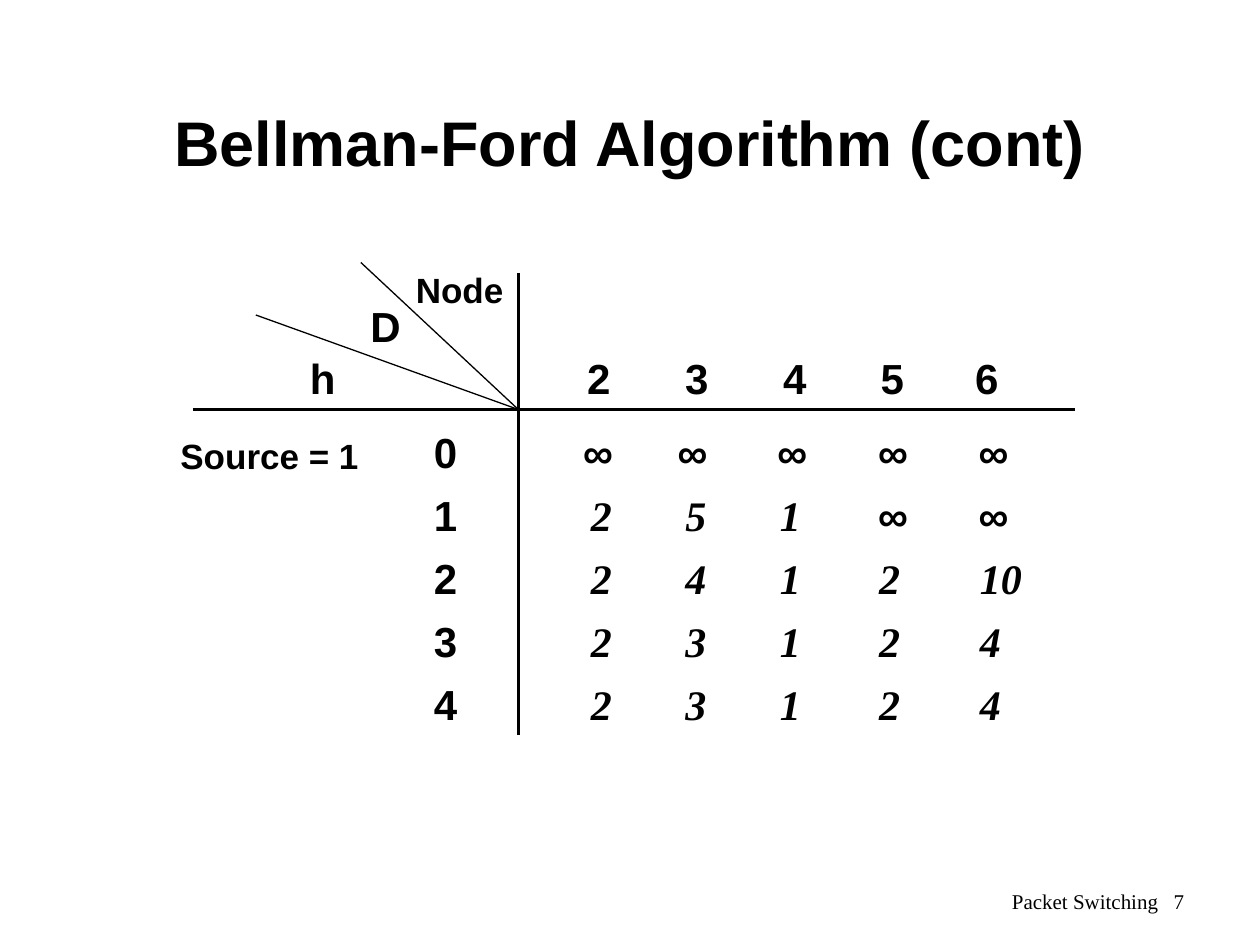
from lxml import etree
from pptx import Presentation
from pptx.dml.color import RGBColor
from pptx.enum.shapes import MSO_CONNECTOR
from pptx.enum.text import MSO_ANCHOR, MSO_AUTO_SIZE, PP_ALIGN
from pptx.oxml.ns import qn
from pptx.util import Pt

STRAIGHT = MSO_CONNECTOR.STRAIGHT
MIDDLE = MSO_ANCHOR.MIDDLE
NO_FIT = MSO_AUTO_SIZE.NONE
CENTER, RIGHT = PP_ALIGN.CENTER, PP_ALIGN.RIGHT
SANS, SERIF = "Arial", "Times New Roman"
BLACK = "000000"


def set_text(shape, text, size, name=SANS, bold=True, italic=False):
    shape.text_frame.text = text
    shape.text_frame.word_wrap = True
    shape.text_frame.auto_size = NO_FIT
    paragraph = shape.text_frame.paragraphs[0]
    font = paragraph.font
    font.size, font.name, font.bold, font.italic = Pt(size), name, bold, italic
    font.color.rgb = RGBColor.from_string(BLACK)
    return paragraph


def add_label(text, left, top, width, size=24, name=SANS, italic=False):
    height = 36 if size == 24 else 31.5
    shape = slide.shapes.add_textbox(Pt(left), Pt(top), Pt(width), Pt(height))
    set_text(shape, text, size, name, italic=italic)


presentation = Presentation()
presentation.slide_width, presentation.slide_height = Pt(720), Pt(540)
slide = presentation.slides.add_slide(presentation.slide_layouts[5])

title = slide.shapes.title
title.left, title.top, title.width, title.height = Pt(54), Pt(36), Pt(612), Pt(90)
set_text(title, "Bellman-Ford Algorithm (cont)", 36).alignment = CENTER
title.text_frame.vertical_anchor = MIDDLE

footer = slide.shapes.add_textbox(Pt(516), Pt(500.5), Pt(168), Pt(28.5))
set_text(footer, "Packet Switching   7", 12, SERIF, bold=False).alignment = RIGHT
footer.text_frame.vertical_anchor = MIDDLE

origin_x, origin_y = 296.2, 234
rules = [
    (110.2, origin_y, 614.2, origin_y, 1.5),
    (origin_x, 156, origin_x, 420, 1.5),
    (origin_x, origin_y, 206.2, 150, 0.75),
    (origin_x, origin_y, 146.2, 180, 0.75),
]
for x1, y1, x2, y2, weight in rules:
    rule = slide.shapes.add_connector(STRAIGHT, Pt(x1), Pt(y1), Pt(x2), Pt(y2))
    rule.line.color.rgb = RGBColor.from_string(BLACK)
    rule.line.width = Pt(weight)
    etree.SubElement(rule._element.spPr, qn("a:effectLst"))

add_label("h", 170, 198, 31)
add_label("D", 204.5, 168, 34)
add_label("Node", 230.5, 150, 68, size=20)
add_label("Source = 1", 96, 245, 122, size=20)

for node, left in zip("23456", [328.5, 384.5, 440.5, 496.2, 550.2]):
    add_label(node, left, 198, 30)

digit_lefts = [330.5, 384.5, 438.5, 495.2, 552.8]
infinity_lefts = [326, 380, 437, 494.5, 552]
distances = [
    ["∞", "∞", "∞", "∞", "∞"],
    ["2", "5", "1", "∞", "∞"],
    ["2", "4", "1", "2", "10"],
    ["2", "3", "1", "2", "4"],
    ["2", "3", "1", "2", "4"],
]
first_top, row_step = 240, 36
for hops, row in enumerate(distances):
    top = first_top + hops * row_step
    add_label(str(hops), 240.8, top, 30)
    for value, digit_left, infinity_left in zip(row, digit_lefts, infinity_lefts):
        if value == "∞":
            add_label(value, infinity_left, top, 34, italic=True)
        else:
            add_label(value, digit_left, top, 16 + 13 * len(value), name=SERIF, italic=True)

presentation.save("out.pptx")
